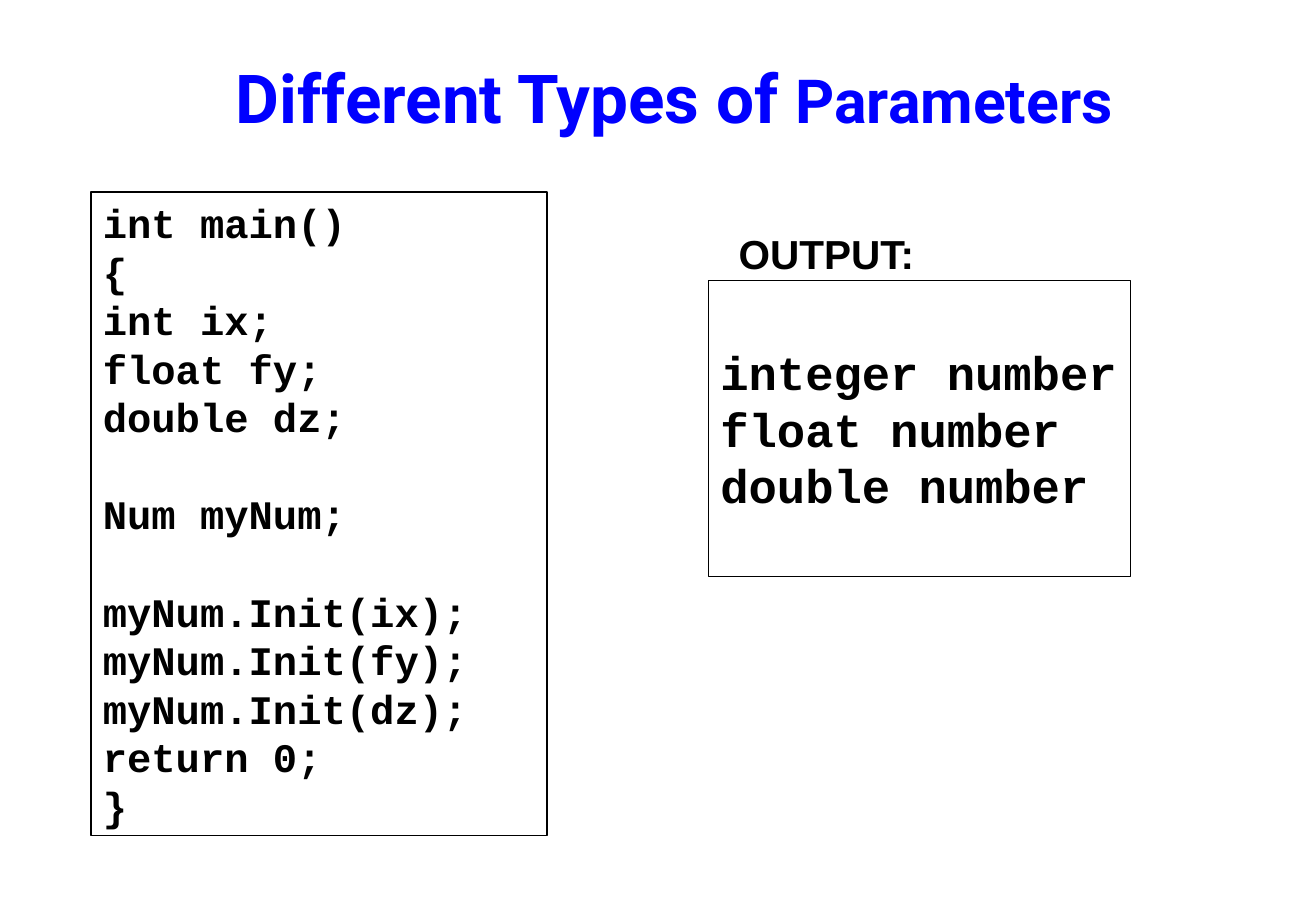
from dataclasses import dataclass

from pptx import Presentation
from pptx.dml.color import RGBColor
from pptx.enum.shapes import MSO_SHAPE as Preset
from pptx.enum.text import MSO_ANCHOR as Anchor, PP_ALIGN as Align
from pptx.shapes.base import BaseShape
from pptx.slide import Slide
from pptx.util import Cm, Pt

BLACK = "000000"
BLUE = "0000FF"
CODE_FONT = "Courier New"
LINE_PITCH = 1.2  # line height as a multiple of the text size


@dataclass(frozen=True)
class Frame:
    left: float
    top: float
    width: float
    height: float
    pad_top: float = 0.13


@dataclass(frozen=True)
class CodePanel:
    frame: Frame
    size: float
    border: float
    groups: tuple[tuple[str, ...], ...]  # groups stand one line apart


PANELS = [
    CodePanel(
        Frame(1.9, 4.01, 9.53, 13.46), 24, 1,
        (
            ("int main()", "{", "int ix;", "float fy;", "double dz;"),
            ("Num myNum;",),
            ("myNum.Init(ix);", "myNum.Init(fy);", "myNum.Init(dz);", "return 0;", "}"),
        ),
    ),
    CodePanel(
        Frame(14.81, 5.87, 8.82, 6.19, pad_top=1.31), 28, 0.75,
        (("integer number", "float number", "double number"),),
    ),
]


def color(code: str) -> RGBColor:
    return RGBColor.from_string(code)


def place(frame: Frame) -> tuple[Cm, Cm, Cm, Cm]:
    return Cm(frame.left), Cm(frame.top), Cm(frame.width), Cm(frame.height)


def prepare_text(box: BaseShape, frame: Frame, wrap: bool = True) -> None:
    text = box.text_frame
    text.word_wrap = wrap
    text.vertical_anchor = Anchor.TOP
    text.margin_left = text.margin_right = Cm(0.25)
    text.margin_top, text.margin_bottom = Cm(frame.pad_top), Cm(0)


def add_span(para, text: str, *, font: str, size: float, ink: str = BLACK) -> None:
    span = para.add_run()
    span.text = text
    span.font.name = font
    span.font.size = Pt(size)
    span.font.bold = True
    span.font.color.rgb = color(ink)


def add_code_panel(page: Slide, panel: CodePanel) -> None:
    box = page.shapes.add_shape(Preset.RECTANGLE, *place(panel.frame))
    box.shadow.inherit = False
    box.fill.background()
    box.line.color.rgb = color(BLACK)
    box.line.width = Pt(panel.border)
    prepare_text(box, panel.frame)
    pitch = Pt(panel.size * LINE_PITCH)
    para = None
    for group in panel.groups:
        for index, line in enumerate(group):
            opens_group = para is not None and index == 0
            para = box.text_frame.paragraphs[0] if para is None else box.text_frame.add_paragraph()
            para.alignment = Align.LEFT
            para.line_spacing = pitch
            para.space_before = pitch if opens_group else Pt(0)
            add_span(para, line, font=CODE_FONT, size=panel.size)


def add_label(page: Slide, frame: Frame, spans: list[tuple[str, float]], *,
              font: str, ink: str = BLACK, wrap: bool = True) -> None:
    box = page.shapes.add_textbox(*place(frame))
    prepare_text(box, frame, wrap)
    para = box.text_frame.paragraphs[0]
    para.alignment = Align.CENTER
    for text, size in spans:
        add_span(para, text, font=font, size=size, ink=ink)


def main() -> None:
    deck = Presentation()
    deck.slide_width, deck.slide_height = Cm(27.51), Cm(19.05)
    page = deck.slides.add_slide(deck.slide_layouts[6])

    # Program and its output
    for panel in PANELS:
        add_code_panel(page, panel)
    add_label(page, Frame(15.14, 4.65, 4.27, 1.27), [("OUTPUT:", 24)],
              font="Arial", wrap=False)

    # Title
    add_label(page, Frame(2.06, 1.17, 24.08, 1.67, pad_top=0),
              [("Different Types of ", 40), ("Parameters", 36)],
              font="Roboto", ink=BLUE)

    deck.save("out.pptx")


if __name__ == "__main__":
    main()
